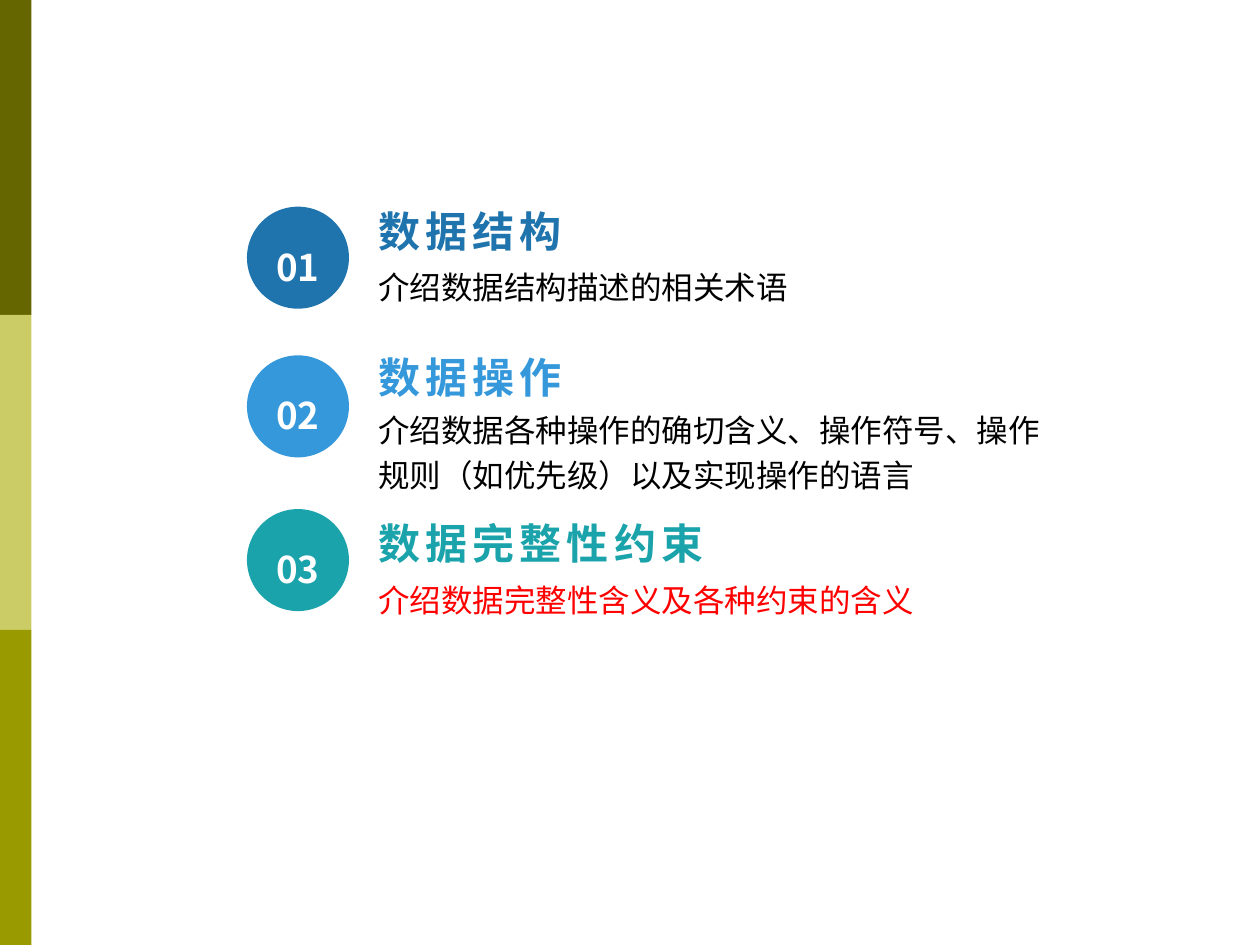
from lxml.etree import SubElement
from pptx import Presentation
from pptx.dml.color import RGBColor
from pptx.enum.shapes import MSO_SHAPE as Shape
from pptx.enum.text import MSO_ANCHOR as Anchor, PP_ALIGN as Align
from pptx.oxml.ns import qn
from pptx.util import Inches, Pt

HEADING_FONT = "Noto Sans CJK SC"
BODY_FONT = "DejaVu Sans"
BAND_COLOURS = ["666600", "CCCC66", "999900"]

# circle top, heading top, description top, colour, heading, description, description colour
TOPICS = [
    (1.64, 1.4, 2.07, "1F74AD", "数据结构", "介绍数据结构描述的相关术语", "000000"),
    (2.82, 2.56, 3.2, "3498DB", "数据操作",
     "介绍数据各种操作的确切含义、操作符号、操作规则（如优先级）以及实现操作的语言", "000000"),
    (4.04, 3.88, 4.55, "1AA3AA", "数据完整性约束",
     "介绍数据完整性含义及各种约束的含义", "FF0000"),
]


def colour(value):
    return RGBColor.from_string(value)


def write_text(shape, text, *, font, size, fill, bold=False, spacing=0, line_spacing=1.2,
               align=Align.LEFT, anchor=Anchor.TOP, margins=(0, 0, 0, 0), wrap=True):
    """Margins are left, top, right, bottom in inches; spacing is in points."""
    frame = shape.text_frame
    frame.word_wrap = wrap
    frame.vertical_anchor = anchor
    (frame.margin_left, frame.margin_top,
     frame.margin_right, frame.margin_bottom) = map(Inches, margins)
    paragraph = frame.paragraphs[0]
    paragraph.alignment = align
    paragraph.line_spacing = line_spacing
    run = paragraph.add_run()
    run.text = text
    run.font.size = Pt(size)
    run.font.bold = bold
    run.font.color.rgb = colour(fill)
    run.font.name = font
    properties = run.font._element
    SubElement(properties, qn("a:ea")).set("typeface", font)
    if spacing:
        properties.set("spc", str(spacing * 100))


def add_filled_shape(slide, kind, left, top, width, height, fill):
    shape = slide.shapes.add_shape(
        kind, Inches(left), Inches(top), Inches(width), Inches(height))
    shape.shadow.inherit = False
    shape.fill.solid()
    shape.fill.fore_color.rgb = colour(fill)
    shape.line.fill.background()
    return shape


def add_side_bands(slide, left, top, width, height):
    band_height = height / len(BAND_COLOURS)
    for index, fill in enumerate(BAND_COLOURS):
        add_filled_shape(slide, Shape.RECTANGLE, left, top + index * band_height,
                         width, band_height, fill)


def add_topic(slide, left, width, number, topic):
    """Place a numbered circle with a heading and description to its right."""
    circle_top, heading_top, description_top, accent, heading, description, body_fill = topic
    diameter, text_offset = 0.81, 0.97
    circle = add_filled_shape(slide, Shape.OVAL, left, circle_top, diameter, diameter, accent)
    write_text(circle, f"{number:02}", font=HEADING_FONT, size=21, fill="FFFFFF", bold=True,
               line_spacing=1.4, align=Align.CENTER, anchor=Anchor.MIDDLE, wrap=False)

    def add_text_box(top, height):
        return slide.shapes.add_textbox(Inches(left + text_offset), Inches(top),
                                        Inches(width - text_offset), Inches(height))

    write_text(add_text_box(heading_top, 0.63), heading, font=HEADING_FONT, size=24,
               fill=accent, bold=True, spacing=3, anchor=Anchor.BOTTOM,
               margins=(0.07, 0.04, 0.07, 0))
    write_text(add_text_box(description_top, 0.44), description, font=BODY_FONT, size=18,
               fill=body_fill, margins=(0.07, 0, 0.07, 0.04))


def main():
    presentation = Presentation()
    presentation.slide_width = Inches(10)
    presentation.slide_height = Inches(7.5)
    slide = presentation.slides.add_slide(presentation.slide_layouts[6])
    add_side_bands(slide, 0, 0, 0.25, 7.5)
    for number, topic in enumerate(TOPICS, start=1):
        add_topic(slide, 1.96, 6.38, number, topic)
    presentation.save("out.pptx")


if __name__ == "__main__":
    main()
